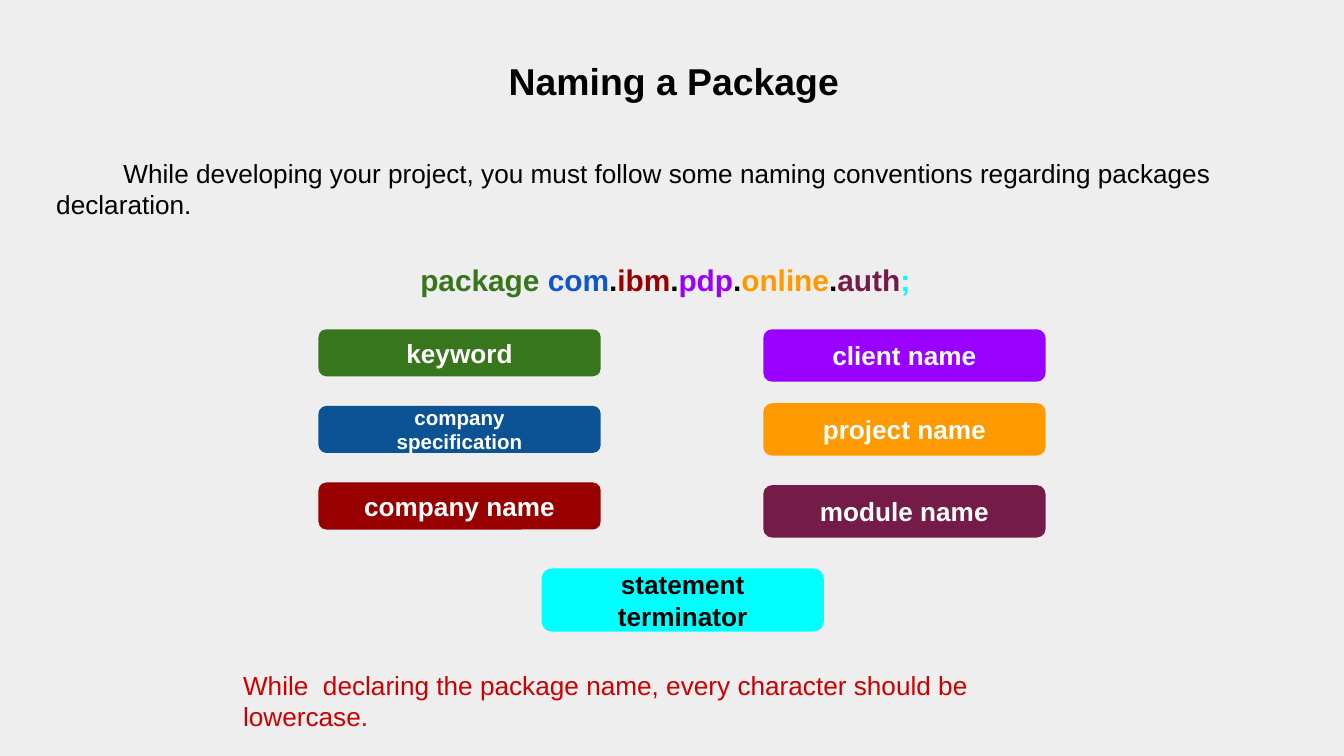
from dataclasses import dataclass

from pptx import Presentation
from pptx.dml.color import RGBColor
from pptx.enum.shapes import MSO_SHAPE
from pptx.enum.text import MSO_ANCHOR, MSO_AUTO_SIZE, PP_ALIGN
from pptx.util import Inches, Pt


@dataclass(frozen=True)
class Theme:
    """Colours and type sizes of the deck."""
    font: str = "Arial"
    background: str = "EEEEEE"
    ink: str = "000000"
    light: str = "FFFFFF"
    warning: str = "CC0000"
    keyword: str = "38761D"
    domain: str = "1155CC"
    specification: str = "0B5394"
    company: str = "980000"
    client: str = "9900FF"
    project: str = "FF9900"
    module: str = "741B47"
    terminator: str = "00FFFF"
    title_size: int = 20
    code_size: int = 16
    body_size: int = 14
    small_size: int = 11


THEME = Theme()


def write(frame, paragraphs, size=THEME.body_size, bold=False,
          align=PP_ALIGN.LEFT, anchor=MSO_ANCHOR.TOP, indent=0):
    """Fill a text frame with paragraphs given as lists of (text, colour)."""
    frame.word_wrap = True
    frame.vertical_anchor = anchor
    frame.margin_left = frame.margin_right = Inches(0.1)
    frame.margin_top = frame.margin_bottom = Inches(0.1)
    for index, spans in enumerate(paragraphs):
        para = frame.add_paragraph() if index else frame.paragraphs[0]
        para.alignment = align
        if indent:
            properties = para._p.get_or_add_pPr()
            properties.set("marL", "0")
            properties.set("indent", str(Inches(indent)))
        for text, colour in spans:
            span = para.add_run()
            span.text = text
            span.font.name = THEME.font
            span.font.size = Pt(size)
            span.font.bold = bold
            span.font.color.rgb = RGBColor.from_string(colour)


class SlideBuilder:
    """Adds styled elements to the current slide."""

    def __init__(self, deck, theme):
        """Start a title-only slide with the theme background."""
        self.theme = theme
        self.slide = deck.slides.add_slide(deck.slide_layouts[5])
        fill = self.slide.background.fill
        fill.solid()
        fill.fore_color.rgb = RGBColor.from_string(theme.background)

    def title(self, text, left, top, width, height):
        """Place and format the title placeholder."""
        box = self.slide.shapes.title
        box.left, box.top = Inches(left), Inches(top)
        box.width, box.height = Inches(width), Inches(height)
        write(box.text_frame, [[(text, self.theme.ink)]], bold=True,
              size=self.theme.title_size, align=PP_ALIGN.CENTER)
        box.text_frame.auto_size = MSO_AUTO_SIZE.SHAPE_TO_FIT_TEXT

    def text(self, spans, left, top, width, height, **style):
        """Add a text box with one paragraph of coloured spans."""
        box = self.slide.shapes.add_textbox(
            Inches(left), Inches(top), Inches(width), Inches(height))
        write(box.text_frame, [spans], **style)
        box.text_frame.auto_size = MSO_AUTO_SIZE.SHAPE_TO_FIT_TEXT

    def label(self, lines, fill, left, top, height, colour=THEME.light,
              size=THEME.body_size, width=2.1):
        """Add a rounded label with centred bold text."""
        box = self.slide.shapes.add_shape(
            MSO_SHAPE.ROUNDED_RECTANGLE,
            Inches(left), Inches(top), Inches(width), Inches(height))
        box.shadow.inherit = False
        box.fill.solid()
        box.fill.fore_color.rgb = RGBColor.from_string(fill)
        box.line.fill.background()
        write(box.text_frame, [[(line, colour)] for line in lines], size=size,
              bold=True, align=PP_ALIGN.CENTER, anchor=MSO_ANCHOR.MIDDLE)


def main():
    """Build the slide on naming a package."""
    deck = Presentation()
    deck.slide_width = Inches(10)
    deck.slide_height = deck.slide_width * 9 // 16
    page = SlideBuilder(deck, THEME)

    page.title("Naming a Package", 0.33, 0.33, 9.37, 0.54)
    page.text([("While developing your project, you must follow some naming "
                "conventions regarding packages declaration.", THEME.ink)],
              0.32, 1.07, 9.49, 0.67, indent=0.5)

    names = [("com", THEME.domain), ("ibm", THEME.company),
             ("pdp", THEME.client), ("online", THEME.project),
             ("auth", THEME.module)]
    statement = [("package ", THEME.keyword)]
    for name in names:
        statement += [name, (".", THEME.ink)]
    statement[-1] = (";", THEME.terminator)
    page.text(statement, 2.48, 1.85, 4.94, 0.47, size=THEME.code_size,
              bold=True, align=PP_ALIGN.CENTER)

    left_labels = [
        (["keyword"], THEME.keyword, THEME.body_size),
        (["company", "specification"], THEME.specification, THEME.small_size),
        (["company name"], THEME.company, THEME.body_size),
    ]
    for row, (lines, fill, size) in enumerate(left_labels):
        page.label(lines, fill, 2.37, 2.45 + row * 0.57, 0.35, size=size)

    right_labels = [("client name", THEME.client, 2.45),
                    ("project name", THEME.project, 3),
                    ("module name", THEME.module, 3.61)]
    for text, fill, top in right_labels:
        page.label([text], fill, 5.68, top, 0.39)

    page.label(["statement terminator"], THEME.terminator, 4.03, 4.23, 0.47,
               colour=THEME.ink)
    page.text([("While  declaring the package name, every character should "
                "be lowercase.", THEME.warning)], 1.71, 4.88, 6.58, 0.44)
    deck.save("out.pptx")


if __name__ == "__main__":
    main()
